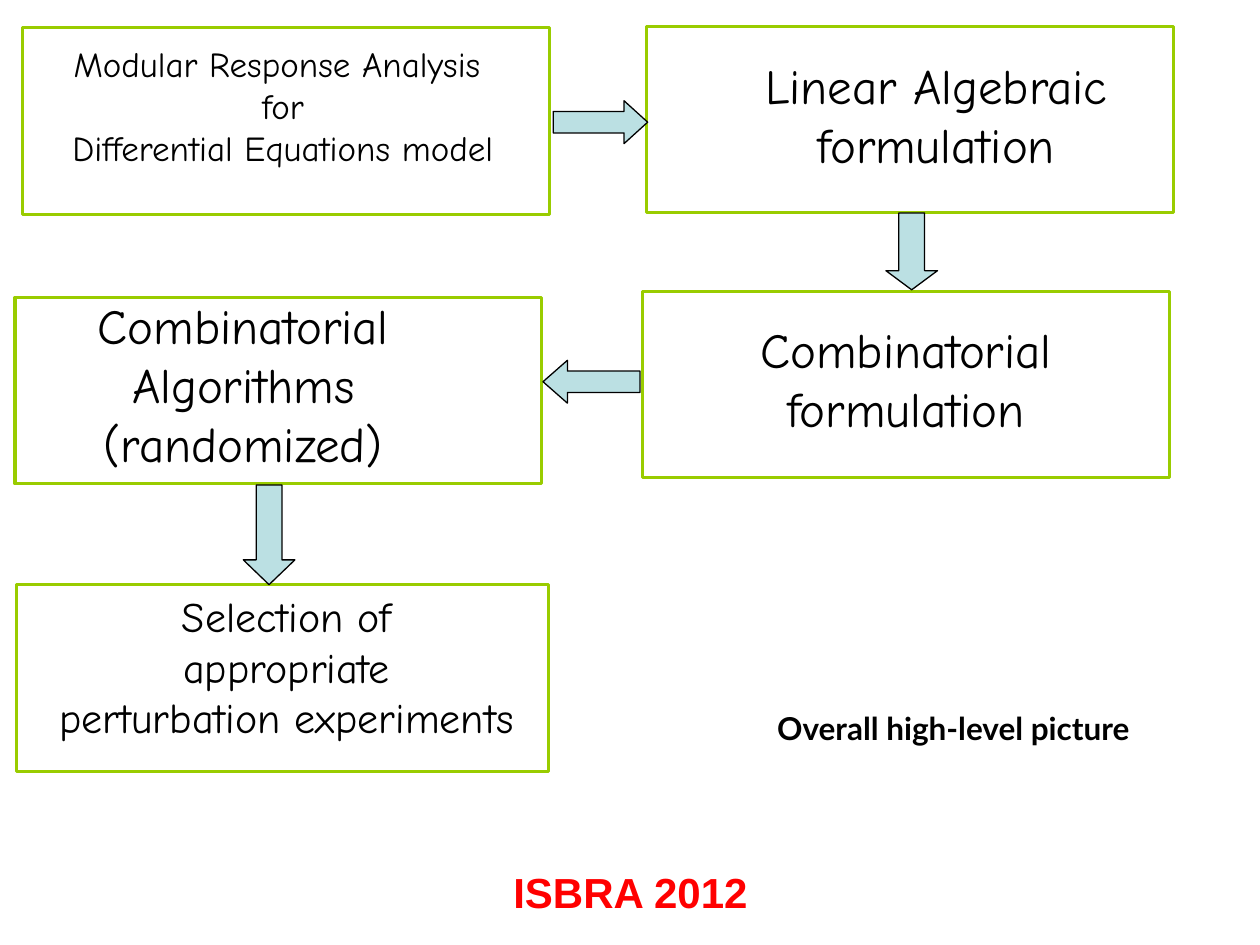
from typing import NamedTuple

from pptx import Presentation
from pptx.dml.color import RGBColor
from pptx.enum.shapes import MSO_SHAPE as Shape
from pptx.enum.text import MSO_AUTO_SIZE as AutoSize, PP_ALIGN as Align
from pptx.util import Pt

BLACK = RGBColor(0x00, 0x00, 0x00)
RED = RGBColor(0xFF, 0x00, 0x00)
GREEN = RGBColor(0x99, 0xCC, 0x00)
PALE_BLUE = RGBColor(0xBB, 0xE0, 0xE3)

FRAME_HEIGHT = 106.6
ARROW_THICKNESS = 24.5
DOWN_ARROW_WIDTH = 29.5


class Area(NamedTuple):
    left: float
    top: float
    width: float
    height: float

    def lengths(self):
        return [Pt(value) for value in self]


class Label(NamedTuple):
    area: Area
    lines: list[str]
    size: float
    font: str = "Comic Neue"
    color: RGBColor = BLACK
    bold: bool = False
    align: Align = Align.CENTER
    fitted: bool = True


class Frame(NamedTuple):
    left: float
    top: float
    width: float = 301


class Arrow(NamedTuple):
    kind: Shape
    area: Area
    head: float


LABELS = [
    Label(Area(246.2, 491.8, 228.2, 37.4), ["ISBRA 2012"], 24,
          font="Arial", color=RED, bold=True, fitted=False),
    Label(Area(20.2, 20.9, 283, 79.2),
          ["Modular Response Analysis ", "for", "Differential Equations model"], 20),
    Label(Area(420.5, 28.1, 229, 74.2), ["Linear Algebraic", "formulation"], 28),
    Label(Area(421.2, 179.3, 193, 74.2), ["Combinatorial", "formulation"], 28),
    Label(Area(42.5, 165.6, 193, 108),
          ["Combinatorial", "Algorithms", "(randomized)"], 28),
    Label(Area(12.2, 334.1, 303.1, 93.6),
          ["Selection of", "appropriate", "perturbation experiments"], 24),
    Label(Area(437, 401.8, 243.4, 28.8), ["Overall high-level picture"], 18,
          font="Lato", bold=True, align=Align.LEFT),
]

FRAMES = [
    Frame(13, 15.8),
    Frame(369.4, 15.1),
    Frame(367.2, 166.3),
    Frame(8.6, 169.9),
    Frame(9.4, 334.1, 303.8),
]

ARROWS = [
    Arrow(Shape.RIGHT_ARROW, Area(316.1, 57.6, 54, ARROW_THICKNESS), 0.55),
    Arrow(Shape.LEFT_ARROW, Area(310.3, 205.9, 55.4, ARROW_THICKNESS), 0.57),
    Arrow(Shape.DOWN_ARROW, Area(506.2, 121.7, DOWN_ARROW_WIDTH, 43.9), 0.37),
    Arrow(Shape.DOWN_ARROW, Area(139, 277.2, DOWN_ARROW_WIDTH, 56.9), 0.48),
]


def add_label(page, label: Label) -> None:
    box = page.shapes.add_textbox(*label.area.lengths())
    text = box.text_frame
    text.word_wrap = not label.fitted
    if label.fitted:
        text.auto_size = AutoSize.SHAPE_TO_FIT_TEXT
    text.text = "\n".join(label.lines)
    for para in text.paragraphs:
        para.alignment = label.align
        para.font.name = label.font
        para.font.size = Pt(label.size)
        para.font.bold = label.bold
        para.font.color.rgb = label.color


def add_outlined(page, kind: Shape, area: Area, color: RGBColor, weight: float):
    shape = page.shapes.add_shape(kind, *area.lengths())
    shape.shadow.inherit = False
    shape.line.color.rgb = color
    shape.line.width = Pt(weight)
    return shape


def add_frame(page, frame: Frame) -> None:
    area = Area(frame.left, frame.top, frame.width, FRAME_HEIGHT)
    add_outlined(page, Shape.RECTANGLE, area, GREEN, 1.75).fill.background()


def add_arrow(page, arrow: Arrow) -> None:
    shape = add_outlined(page, arrow.kind, arrow.area, BLACK, 0.75)
    shape.fill.solid()
    shape.fill.fore_color.rgb = PALE_BLUE
    shape.adjustments[0] = 0.5
    shape.adjustments[1] = arrow.head


def main() -> None:
    deck = Presentation()
    deck.slide_width, deck.slide_height = Pt(720), Pt(540)
    page = deck.slides.add_slide(deck.slide_layouts[6])

    # Step texts, caption and footer
    for label in LABELS:
        add_label(page, label)

    # Step frames
    for frame in FRAMES:
        add_frame(page, frame)

    # Flow arrows
    for arrow in ARROWS:
        add_arrow(page, arrow)

    deck.save("out.pptx")


if __name__ == "__main__":
    main()
